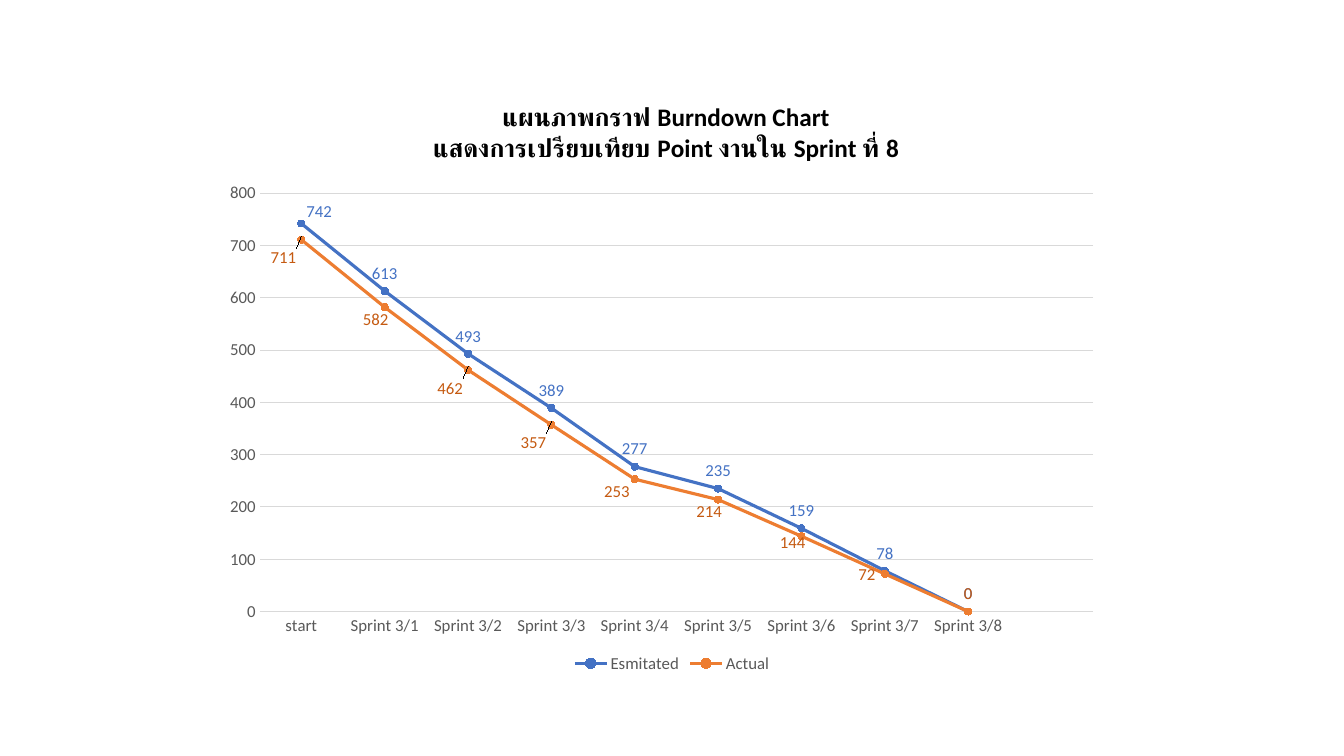
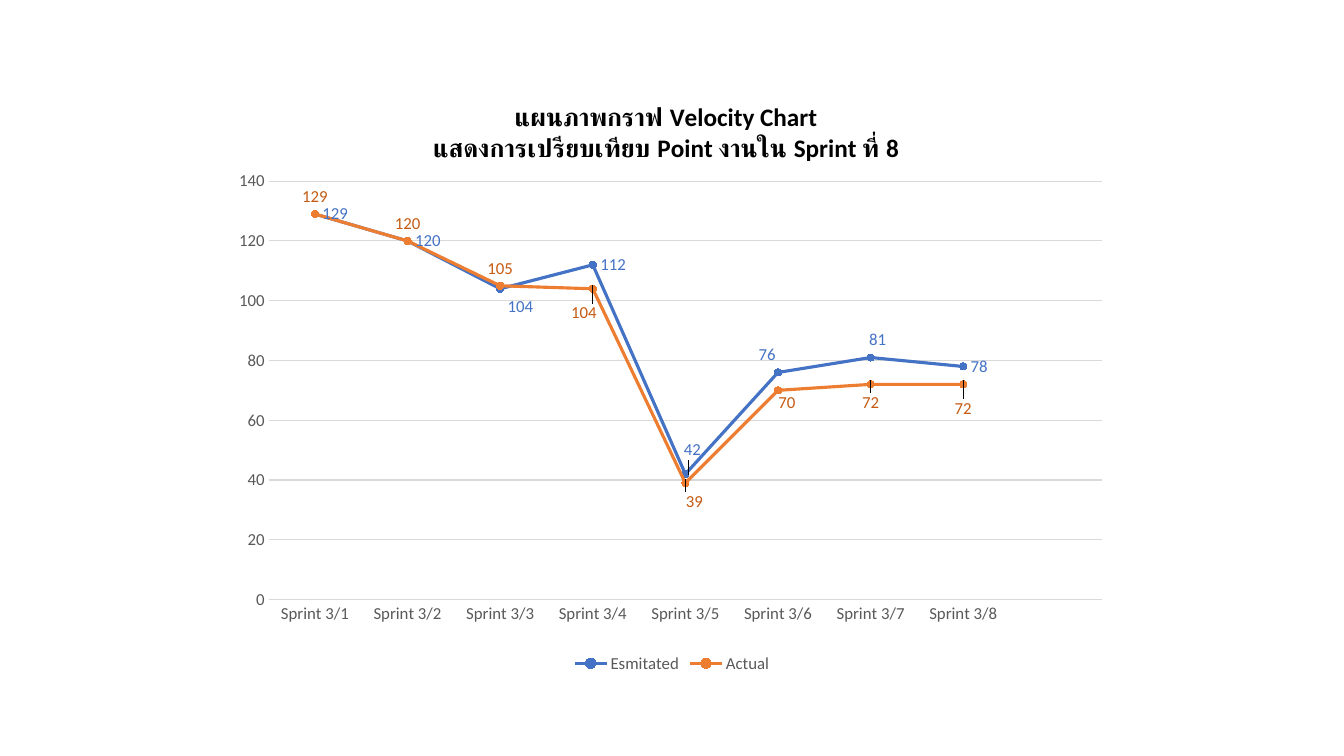
from pptx import Presentation
from pptx.chart.data import CategoryChartData
from pptx.dml.color import RGBColor
from pptx.enum.chart import (XL_CHART_TYPE, XL_LABEL_POSITION, XL_LEGEND_POSITION,
                             XL_MARKER_STYLE, XL_TICK_MARK)
from pptx.oxml import parse_xml
from pptx.oxml.ns import nsdecls, qn
from pptx.util import Inches, Pt

COLORS = {
    "title": "000000",
    "axis_text": "595959",
    "grid": "D9D9D9",
    "estimated": "4472C4",
    "actual": "ED7D31",
    "actual_label": "C55A11",
}
FONT = "Calibri"
CHART_BOX = (Inches(2.22), Inches(0.79), Inches(8.89), Inches(5.93))
SPRINTS = [f"Sprint 3/{number}" for number in range(1, 9)]
ABOVE = XL_LABEL_POSITION.ABOVE
RIGHT = XL_LABEL_POSITION.RIGHT


def rgb(name):
    return RGBColor.from_string(COLORS[name])


def format_font(font, color, size=12, bold=False):
    font.name = FONT
    font.size = Pt(size)
    font.bold = bold
    font.color.rgb = rgb(color)


def write_text(frame, text, **text_format):
    for number, line in enumerate(text.split("\n")):
        paragraph = frame.add_paragraph() if number else frame.paragraphs[0]
        run = paragraph.add_run()
        run.text = line
        format_font(run.font, **text_format)


def format_line(line, color, width):
    line.color.rgb = rgb(color)
    line.width = Pt(width)


def set_layout(parent, index, modes=(), **place):
    for old in parent.findall(qn("c:layout")):
        parent.remove(old)
    settings = [*modes, *place.items()]
    values = "".join(f'<c:{tag} val="{value}"/>' for tag, value in settings)
    parent.insert(index, parse_xml(
        f'<c:layout {nsdecls("c")}><c:manualLayout>{values}</c:manualLayout></c:layout>'))


def format_axes(chart, top, step):
    sprints, points = chart.category_axis, chart.value_axis
    for axis in (sprints, points):
        axis.major_tick_mark = axis.minor_tick_mark = XL_TICK_MARK.NONE
        format_font(axis.tick_labels.font, "axis_text")
    format_line(sprints.format.line, "grid", 0.75)
    points.format.line.fill.background()
    points.has_major_gridlines = True
    format_line(points.major_gridlines.format.line, "grid", 0.75)
    points.minimum_scale = 0
    points.maximum_scale = top
    points.major_unit = step


def format_series(series, color, label_color, position, offsets):
    series.smooth = False
    format_line(series.format.line, color, 2.25)
    marker = series.marker
    marker.style = XL_MARKER_STYLE.CIRCLE
    marker.size = 5
    marker.format.fill.solid()
    marker.format.fill.fore_color.rgb = rgb(color)
    format_line(marker.format.line, color, 0.75)

    labels = series.data_labels
    labels.show_value = True
    labels.position = position
    format_font(labels.font, label_color)
    for point, (x, y) in offsets.items():
        label = series.points[point].data_label
        label.position = position
        format_font(label.font, label_color)
        element = series._element.xpath(f'c:dLbls/c:dLbl[c:idx/@val="{point}"]')[0]
        set_layout(element, 1, x=x, y=y)


def add_sprint_chart(slide, box, title, categories, estimated, actual,
                     plot, top, step, estimated_position, estimated_offsets,
                     actual_offsets):
    data = CategoryChartData()
    data.categories = [*categories, ""]
    data.add_series("Esmitated", [*estimated, None])
    data.add_series("Actual", [*actual, None])
    chart = slide.shapes.add_chart(XL_CHART_TYPE.LINE_MARKERS, *box, data).chart
    format_font(chart.font, "title", size=10)

    chart.has_title = True
    write_text(chart.chart_title.text_frame, title, color="title", size=18, bold=True)
    chart.chart_title.include_in_layout = False
    edges = [("xMode", "edge"), ("yMode", "edge")]
    set_layout(chart.chart_title._element, 1, edges, x=0.23, y=0.03)

    chart.has_legend = True
    chart.legend.position = XL_LEGEND_POSITION.BOTTOM
    chart.legend.include_in_layout = False
    format_font(chart.legend.font, "axis_text")

    x, y = plot
    set_layout(chart._chartSpace.chart.plotArea, 0,
               [("layoutTarget", "inner"), *edges], x=x, y=y, w=0.93, h=0.7)
    chart.plots[0].vary_by_categories = False
    format_axes(chart, top, step)
    estimated_line, actual_line = chart.plots[0].series
    format_series(estimated_line, "estimated", "estimated",
                  estimated_position, estimated_offsets)
    format_series(actual_line, "actual", "actual_label", ABOVE, actual_offsets)


def chart_title(kind):
    return f"แผนภาพกราฟ {kind} Chart\nแสดงการเปรียบเทียบ Point งานใน Sprint ที่ 8"


BURNDOWN = dict(
    title=chart_title("Burndown"),
    categories=["start", *SPRINTS],
    estimated=[742, 613, 493, 389, 277, 235, 159, 78, 0],
    actual=[711, 582, 462, 357, 253, 214, 144, 72, 0],
    plot=(0.04, 0.19), top=800, step=100,
    estimated_position=ABOVE,
    estimated_offsets={0: (0.02, 0.01)},
    actual_offsets=dict(enumerate([
        (-0.02, 0.06), (-0.01, 0.05), (-0.02, 0.06), (-0.02, 0.06),
        (-0.02, 0.05), (-0.01, 0.05), (-0.01, 0.04), (-0.02, 0.03)])),
)
VELOCITY = dict(
    title=chart_title("Velocity"),
    categories=SPRINTS,
    estimated=[129, 120, 104, 112, 42, 76, 81, 78],
    actual=[129, 120, 105, 104, 39, 70, 72, 72],
    plot=(0.05, 0.17), top=140, step=20,
    estimated_position=RIGHT,
    estimated_offsets={2: (0, 0.03), 4: (-0.01, -0.04),
                       5: (-0.03, -0.03), 6: (-0.01, -0.03)},
    actual_offsets={3: (-0.01, 0.07), 4: (0.01, 0.06), 5: (0.01, 0.05),
                    6: (0, 0.06), 7: (0, 0.07)},
)

presentation = Presentation()
presentation.slide_width = Inches(13.33)
presentation.slide_height = Inches(7.5)
blank_layout = presentation.slide_layouts.get_by_name("Blank")
for sprint_chart in (BURNDOWN, VELOCITY):
    add_sprint_chart(presentation.slides.add_slide(blank_layout), CHART_BOX, **sprint_chart)
presentation.save("out.pptx")
